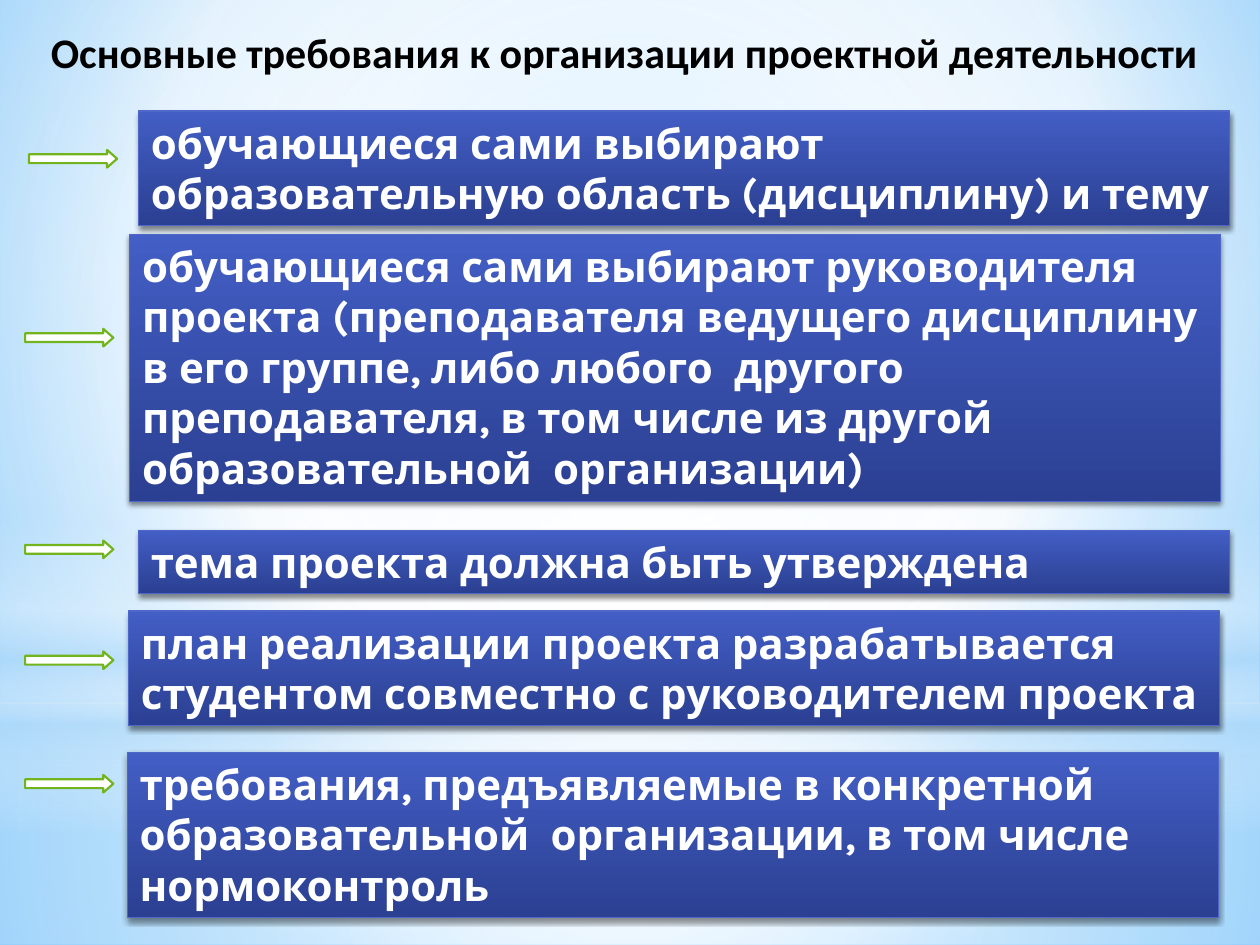
from lxml.etree import SubElement
from pptx import Presentation
from pptx.dml.color import RGBColor
from pptx.enum.shapes import MSO_SHAPE as Kind
from pptx.enum.text import MSO_ANCHOR as Anchor, MSO_AUTO_SIZE as Auto, PP_ALIGN as Align
from pptx.oxml.ns import qn
from pptx.util import Inches, Pt

WHITE = RGBColor(0xFF, 0xFF, 0xFF)
BLACK = RGBColor(0, 0, 0)
PALE = RGBColor(0xB4, 0xDC, 0xFA)
SKY = RGBColor(0x9E, 0xD5, 0xFF)
AZURE = RGBColor(0x5B, 0xB9, 0xFF)
BLUE = RGBColor(0x43, 0x5E, 0xC5)
NAVY = RGBColor(0x2B, 0x40, 0x92)
EDGE = RGBColor(0x4E, 0x67, 0xC8)
GREEN = RGBColor(0x72, 0xB4, 0x1D)

TITLE = "Основные требования к организации проектной деятельности"

# text, box left, top, height, arrow left, arrow top
RULES = [
    ("обучающиеся сами выбирают образовательную область (дисциплину) и тему",
     1.1, 0.88, 0.91, 0.51, 0.91),
    ("обучающиеся сами выбирают руководителя проекта (преподавателя ведущего "
     "дисциплину в его группе, либо любого  другого преподавателя, в том числе "
     "из другой образовательной  организации)",
     1.03, 1.86, 2.12, 0.48, 2.33),
    ("тема проекта должна быть утверждена", 1.1, 4.21, 0.5, 0.48, 4.01),
    ("план реализации проекта разрабатывается студентом совместно с "
     "руководителем проекта", 1.02, 4.85, 0.91, 0.48, 4.89),
    ("требования, предъявляемые в конкретной образовательной  организации, "
     "в том числе нормоконтроль", 1.01, 5.97, 1.31, 0.48, 5.87),
]
BOX_W = 8.66
ARROW_W, ARROW_H = 0.14, 0.7

# Stops are (position %, colour, opacity %); focus is left, top, right, bottom %
MID = (50, 50, 50, 50)
BACK = [(0, SKY, 100), (60, WHITE, 100), (100, AZURE, 100)]
FACE = [(0, BLUE, 100), (100, NAVY, 100)]
WASHES = [
    (Kind.RECTANGLE, 5.58, 1.92, MID,
     [(0, WHITE, 91), (37, WHITE, 76), (100, PALE, 79)]),
    (Kind.RECTANGLE, 0, 5.58, MID,
     [(0, WHITE, 89), (48, WHITE, 62), (100, PALE, 79)]),
    (Kind.RECTANGLE, 4.12, 2.5, None,
     [(0, WHITE, 0), (29, WHITE, 30), (45, PALE, 40), (55, WHITE, 26),
      (65, PALE, 60), (100, WHITE, 0)]),
    (Kind.OVAL, 1.75, 5.58, MID, [(0, WHITE, 100), (56, WHITE, 0)]),
]


def add(node, tag, **attrs):
    return SubElement(node, qn(tag), {k: str(v) for k, v in attrs.items()})


def tint(node, color, alpha):
    add(add(node, "a:srgbClr", val=color), "a:alpha", val=alpha * 1000)


def blend(fill, node, stops, focus=None):
    """Fill node with a gradient: round about focus, or downward without one."""
    fill.background()
    blank = node.find(".//" + qn("a:noFill"))
    home = blank.getparent()
    grad = add(home, "a:gradFill", rotWithShape=1)
    home.replace(blank, grad)
    ramp = add(grad, "a:gsLst")
    for pos, color, alpha in stops:
        tint(add(ramp, "a:gs", pos=pos * 1000), color, alpha)
    if focus:
        sides = {k: v * 1000 for k, v in zip("ltrb", focus)}
        add(add(grad, "a:path", path="circle"), "a:fillToRect", **sides)
    else:
        add(grad, "a:lin", ang=90 * 60000, scaled=0)


def put(slide, kind, left, top, width, height):
    shape = slide.shapes.add_shape(
        kind, Inches(left), Inches(top), Inches(width), Inches(height))
    shape.shadow.inherit = False
    return shape


def write(shape, text, font, color, align, anchor):
    frame = shape.text_frame
    frame.text = text
    frame.word_wrap = True
    frame.auto_size = Auto.NONE
    frame.vertical_anchor = anchor
    para = frame.paragraphs[0]
    para.alignment = align
    para.font.name = font
    para.font.size = Pt(24)
    para.font.bold = True
    para.font.color.rgb = color


def add_box(slide, text, left, top, height):
    box = put(slide, Kind.RECTANGLE, left, top, BOX_W, height)
    blend(box.fill, box._element.spPr, FACE)
    box.line.color.rgb = EDGE
    box.line.width = Pt(0.75)
    glow = box._element.spPr.find(qn("a:effectLst"))
    shade = add(glow, "a:outerShdw", blurRad=Pt(3.1), dist=Pt(1.8),
                dir=90 * 60000, rotWithShape=0)
    tint(shade, BLACK, 45)
    write(box, text, "Karla", WHITE, Align.LEFT, Anchor.TOP)


def add_arrow(slide, left, top):
    arrow = put(slide, Kind.DOWN_ARROW, left, top, ARROW_W, ARROW_H)
    arrow.rotation = 270
    arrow.adjustments[1] = 0.57
    arrow.fill.solid()
    arrow.fill.fore_color.rgb = WHITE
    arrow.line.color.rgb = GREEN
    arrow.line.width = Pt(1.25)


def main():
    deck = Presentation()
    deck.slide_width, deck.slide_height = Inches(10), Inches(7.5)
    slide = deck.slides.add_slide(deck.slide_layouts[5])
    blend(slide.background.fill, slide._element, BACK, (20, 10, 20, 60))

    for kind, top, height, focus, stops in WASHES:
        wash = put(slide, kind, 0, top, 10, height)
        blend(wash.fill, wash._element.spPr, stops, focus)
        wash.line.fill.background()

    for text, left, top, height, *_ in RULES:
        add_box(slide, text, left, top, height)
    for *_, left, top in RULES:
        add_arrow(slide, left, top)

    title = slide.shapes.title
    title.left, title.top = Inches(0.12), Inches(0.16)
    title.width, title.height = Inches(9.67), Inches(0.5)
    write(title, TITLE, "Calibri", BLACK, Align.CENTER, Anchor.TOP)
    slide.shapes._spTree.append(title._element)  # in front of the washes

    deck.save("out.pptx")


if __name__ == "__main__":
    main()
